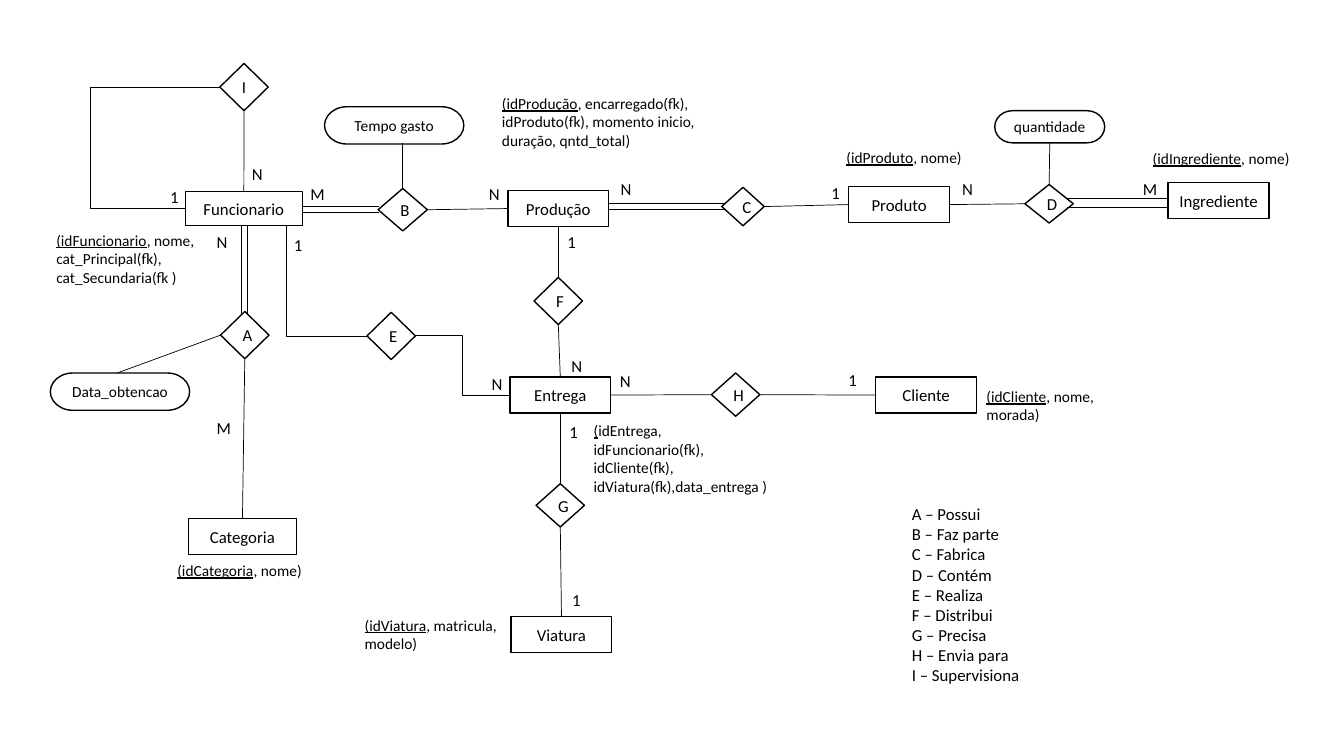
from dataclasses import dataclass

from lxml import etree
from pptx import Presentation
from pptx.dml.color import RGBColor
from pptx.enum.shapes import MSO_CONNECTOR, MSO_SHAPE
from pptx.enum.text import MSO_ANCHOR, MSO_AUTO_SIZE, PP_ALIGN
from pptx.oxml.ns import qn
from pptx.util import Cm, Pt

RECTANGLE = MSO_SHAPE.RECTANGLE
DIAMOND = MSO_SHAPE.FLOWCHART_DECISION
TERMINATOR = MSO_SHAPE.FLOWCHART_TERMINATOR
STRAIGHT = MSO_CONNECTOR.STRAIGHT
ELBOW = MSO_CONNECTOR.ELBOW
MIDDLE = MSO_ANCHOR.MIDDLE
CENTER = PP_ALIGN.CENTER
GROW = MSO_AUTO_SIZE.SHAPE_TO_FIT_TEXT
TOP, LEFT, BOTTOM, RIGHT = range(4)


@dataclass(frozen=True)
class Theme:
    font: str = "Calibri"
    ink: RGBColor = RGBColor(0, 0, 0)
    paper: RGBColor = RGBColor(255, 255, 255)
    body: Pt = Pt(12)
    small: Pt = Pt(11)
    outline: Pt = Pt(1)
    wire: Pt = Pt(0.5)


class Diagram:
    def __init__(self, page, theme):
        self.page = page
        self.theme = theme
        self.nodes = {}

    def style(self, paragraph, size):
        paragraph.font.name = self.theme.font
        paragraph.font.size = size
        paragraph.font.color.rgb = self.theme.ink

    def node(self, kind, name, left, top, width, height, size):
        shape = self.page.shapes.add_shape(kind, Cm(left), Cm(top), Cm(width), Cm(height))
        shape.shadow.inherit = False
        shape.fill.solid()
        shape.fill.fore_color.rgb = self.theme.paper
        shape.line.color.rgb = self.theme.ink
        shape.line.width = self.theme.outline
        shape.text_frame.vertical_anchor = MIDDLE
        para = shape.text_frame.paragraphs[0]
        para.text = name
        para.alignment = CENTER
        self.style(para, size)
        self.nodes[name] = shape

    def text(self, left, top, width, height, lines, size, key=""):
        box = self.page.shapes.add_textbox(Cm(left), Cm(top), Cm(width), Cm(height))
        frame = box.text_frame
        frame.word_wrap = True
        frame.auto_size = GROW
        for index, line in enumerate(lines):
            para = frame.add_paragraph() if index else frame.paragraphs[0]
            if key and index == 0:
                span = para.add_run()
                span.text = key
                span.font.underline = True
            para.add_run().text = line
            self.style(para, size)

    def wire(self, start, end, kind=STRAIGHT):
        wire = self.page.shapes.add_connector(kind, 0, 0, 0, 0)
        if isinstance(start[0], str):
            wire.begin_connect(self.nodes[start[0]], start[1])
        else:
            wire.begin_x, wire.begin_y = Cm(start[0]), Cm(start[1])
        if isinstance(end[0], str):
            wire.end_connect(self.nodes[end[0]], end[1])
        else:
            wire.end_x, wire.end_y = Cm(end[0]), Cm(end[1])
        wire.line.color.rgb = self.theme.ink
        wire.line.width = self.theme.wire
        etree.SubElement(wire._element.spPr, qn("a:effectLst"))
        return wire

    def double_wire(self, start, end, shift):
        for step in range(2):
            move_x, move_y = step * shift[0], step * shift[1]
            self.wire((start[0] + move_x, start[1] + move_y), (end[0] + move_x, end[1] + move_y))

    def elbow(self, start, end, bend=None):
        geometry = self.wire(start, end, ELBOW)._element.spPr.find(qn("a:prstGeom"))
        if bend is None:
            geometry.set("prst", "bentConnector2")
        else:
            guide = etree.SubElement(geometry.find(qn("a:avLst")), qn("a:gd"))
            guide.set("name", "adj1")
            guide.set("fmla", f"val {round(bend * 100000)}")


ENTITIES = [
    ("Produção", 12.8, 4.8, 2.54, 0.91),
    ("Produto", 21.39, 4.7, 2.54, 0.91),
    ("Ingrediente", 29.44, 4.6, 2.54, 0.91),
    ("Entrega", 12.85, 9.5, 2.54, 0.91),
    ("Viatura", 12.88, 15.54, 2.54, 0.91),
    ("Cliente", 22.07, 9.5, 2.54, 0.91),
    ("Funcionario", 4.67, 4.83, 2.95, 0.86),
    ("Categoria", 4.75, 13.06, 2.72, 0.91),
]
RELATIONS = [
    ("A", 5.56, 7.85, 1.22, 1.19),
    ("B", 9.53, 4.75, 1.24, 1.07),
    ("C", 18.19, 4.72, 1.07, 0.97),
    ("D", 25.83, 4.65, 1.22, 0.97),
    ("E", 9.25, 7.87, 1.22, 1.19),
    ("F", 13.46, 6.99, 1.22, 1.19),
    ("G", 13.51, 12.19, 1.22, 1.09),
    ("H", 17.93, 9.4, 1.22, 1.09),
    ("I", 5.54, 1.6, 1.22, 1.19),
]
PROPERTIES = [
    ("quantidade", 25.07, 2.79, 2.77, 0.81),
    ("Tempo gasto", 8.18, 2.69, 3.51, 0.94),
    ("Data_obtencao", 1.27, 9.4, 3.51, 0.94),
]
LINKS = [
    (("A", BOTTOM), ("Categoria", TOP)),
    (("B", RIGHT), ("Produção", LEFT)),
    (("C", RIGHT), ("Produto", LEFT)),
    (("Produto", RIGHT), ("D", LEFT)),
    (("Entrega", RIGHT), ("H", LEFT)),
    (("H", RIGHT), ("Cliente", LEFT)),
    (("Produção", BOTTOM), ("F", TOP)),
    (("F", BOTTOM), ("Entrega", TOP)),
    (("Entrega", BOTTOM), ("G", TOP)),
    (("G", BOTTOM), ("Viatura", TOP)),
    (("I", BOTTOM), ("Funcionario", TOP)),
    (("quantidade", BOTTOM), ("D", TOP)),
    ((10.15, 3.61), ("B", TOP)),
    (("A", LEFT), (2.95, 9.4)),
]
DOUBLE_LINKS = [
    ((6.08, 5.67), (6.08, 7.93), (0.16, 0)),
    ((7.62, 5.21), (9.55, 5.21), (0, 0.13)),
    ((15.34, 5.12), (18.28, 5.12), (0, 0.16)),
    ((26.9, 4.99), (29.44, 4.99), (0, 0.24)),
]
ELBOWS = [
    (("Entrega", LEFT), ("E", RIGHT), 0.5),
    (("Funcionario", LEFT), ("I", LEFT), -2.74),
    (("E", LEFT), (7.21, 5.67), None),
]
CARDINALITIES = {
    "1": [(20.7, 4.47), (7.16, 5.79), (14.05, 5.72), (14.1, 10.49), (14.17, 14.73),
          (21.13, 9.19), (4.04, 4.57)],
    "M": [(5.21, 10.41), (7.57, 4.5), (28.55, 4.39)],
    "N": [(5.21, 5.72), (12.07, 4.5), (15.39, 4.37), (24, 4.39), (12.14, 9.3),
          (14.15, 8.84), (15.37, 9.22), (6.1, 4.01)],
}
ATTRIBUTES = [
    (1.17, 5.69, 4.52, 1.68, "(idFuncionario", [", nome, cat_Principal(fk), cat_Secundaria(fk )"]),
    (4.22, 14.02, 4.52, 0.74, "(idCategoria", [", nome)"]),
    (12.4, 2.24, 5.72, 1.68, "(idProdução",
     [", encarregado(fk),", "idProduto(fk), momento inicio, duração, qntd_total)"]),
    (21.08, 3.61, 4.52, 0.74, "(idProduto", [", nome)"]),
    (28.8, 3.63, 4.52, 0.74, "(idIngrediente", [", nome)"]),
    (24.61, 9.63, 4.52, 1.19, "(idCliente", [", nome, morada)"]),
    (8.94, 15.39, 4.52, 1.19, "(idViatura", [", matricula, modelo)"]),
    (14.71, 10.49, 5.08, 2.13, "(",
     ["idEntrega, idFuncionario(fk), idCliente(fk), idViatura(fk),data_entrega )"]),
]
LEGEND = ["A – Possui", "B – Faz parte", "C – Fabrica", "D – Contém", "E – Realiza",
          "F – Distribui", "G – Precisa", "H – Envia para", "I – Supervisiona"]


def main():
    deck = Presentation()
    deck.slide_width, deck.slide_height = Cm(33.87), Cm(19.05)
    theme = Theme()
    diagram = Diagram(deck.slides.add_slide(deck.slide_layouts[6]), theme)
    for kind, nodes, size in [(RECTANGLE, ENTITIES, theme.body), (DIAMOND, RELATIONS, theme.body),
                              (TERMINATOR, PROPERTIES, theme.small)]:
        for node in nodes:
            diagram.node(kind, *node, size)
    for link in LINKS:
        diagram.wire(*link)
    for link in DOUBLE_LINKS:
        diagram.double_wire(*link)
    for link in ELBOWS:
        diagram.elbow(*link)
    for mark, places in CARDINALITIES.items():
        for left, top in places:
            diagram.text(left, top, 0.86, 0.76, [mark], theme.body)
    for left, top, width, height, key, lines in ATTRIBUTES:
        diagram.text(left, top, width, height, lines, theme.small, key)
    diagram.text(22.73, 12.57, 8.05, 4.88, LEGEND, theme.body)
    deck.save("out.pptx")


if __name__ == "__main__":
    main()
